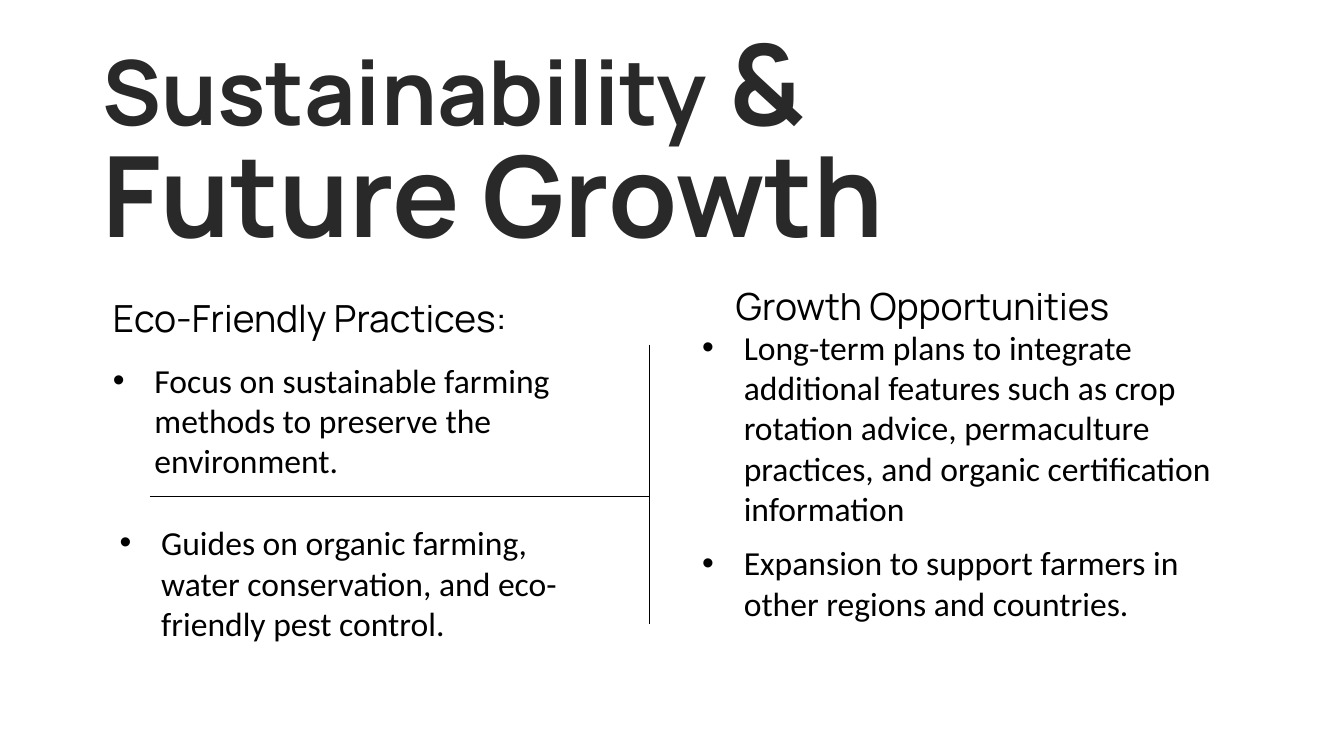
from lxml import etree
from pptx import Presentation
from pptx.dml.color import RGBColor
from pptx.enum.shapes import MSO_CONNECTOR
from pptx.enum.text import MSO_ANCHOR, MSO_AUTO_SIZE, PP_ALIGN
from pptx.oxml.ns import qn
from pptx.util import Inches, Pt

STRAIGHT = MSO_CONNECTOR.STRAIGHT
TOP = MSO_ANCHOR.TOP
LEFT = PP_ALIGN.LEFT
FIT_SHAPE = MSO_AUTO_SIZE.SHAPE_TO_FIT_TEXT
TITLE_ONLY = 5

# Grid: one column or row is one inch
COLUMNS, ROWS = 20, 11.25
BULLET_INDENT = Inches(0.62)


def color(hex_text):
    return RGBColor.from_string(hex_text)


class SlideBuilder:
    heading_font = "Manrope"
    body_font = "Calibri"
    title_color = "292929"
    text_color = "000000"

    def __init__(self, presentation):
        self.presentation = presentation
        self.slide = presentation.slides.add_slide(
            presentation.slide_layouts[TITLE_ONLY])
        self.slide.background.fill.solid()
        self.slide.background.fill.fore_color.rgb = color("FFFFFF")

    def place(self, column, row):
        return (round(self.presentation.slide_width * column / COLUMNS),
                round(self.presentation.slide_height * row / ROWS))

    def style(self, font, name, size, hex_text, bold=False):
        font.name = name
        font.size = Pt(size)
        font.bold = bold
        font.color.rgb = color(hex_text)

    def title(self, column, row, width, height, parts):
        shape = self.slide.shapes.title
        shape.left, shape.top = self.place(column, row)
        shape.width, shape.height = self.place(width, height)
        frame = shape.text_frame
        frame.margin_left = frame.margin_right = 0
        frame.margin_top = frame.margin_bottom = 0
        frame.vertical_anchor = TOP
        frame.word_wrap = True
        frame.auto_size = FIT_SHAPE
        paragraph = frame.paragraphs[0]
        paragraph.alignment = LEFT
        paragraph.line_spacing = Pt(120)
        for text, size in parts:
            run = paragraph.add_run()
            run.text = text
            self.style(run.font, self.heading_font, size, self.title_color, True)

    def text(self, column, row, width, height, text):
        shape = self.slide.shapes.add_textbox(
            *self.place(column, row), *self.place(width, height))
        frame = shape.text_frame
        frame.word_wrap = True
        frame.auto_size = FIT_SHAPE
        paragraph = frame.paragraphs[0]
        paragraph.text = text
        return paragraph

    def heading(self, column, row, width, text):
        paragraph = self.text(column, row, width, 0.77, text)
        self.style(paragraph.font, self.heading_font, 40, self.text_color)

    def bullet(self, column, row, width, height, text):
        paragraph = self.text(column, row, width, height, text)
        properties = paragraph._p.get_or_add_pPr()
        properties.set("marL", str(BULLET_INDENT))
        properties.set("indent", str(-BULLET_INDENT))
        etree.SubElement(properties, qn("a:buFont")).set("typeface", "Arial")
        etree.SubElement(properties, qn("a:buChar")).set("char", "•")
        self.style(paragraph.font, self.body_font, 36, self.text_color)

    def line(self, start, end):
        connector = self.slide.shapes.add_connector(
            STRAIGHT, *self.place(*start), *self.place(*end))
        connector.line.color.rgb = color(self.text_color)
        connector.line.width = Pt(0.75)
        etree.SubElement(connector._element.spPr, qn("a:effectLst"))


def main():
    presentation = Presentation()
    presentation.slide_width = Inches(COLUMNS)
    presentation.slide_height = Inches(ROWS)
    builder = SlideBuilder(presentation)

    # Title
    builder.title(1.52, 0.54, 15.26, 3.45,
                  [("Sustainability", 96), (" & Future Growth", 120)])

    # Dividers
    divider = 9.67
    builder.line((2.23, 7.39), (divider, 7.39))
    builder.line((divider, 5.13), (divider, 9.29))

    # Left column: practices
    builder.heading(1.58, 4.35, 9.32, "Eco-Friendly Practices:")
    builder.bullet(1.58, 5.3, 7.75, 1.92,
                   "Focus on sustainable farming methods to preserve the "
                   "environment.")
    builder.bullet(1.68, 7.72, 7.55, 1.92,
                   "Guides on organic farming, water conservation, and "
                   "eco-friendly pest control.")

    # Right column: opportunities
    builder.heading(10.85, 4.16, 7.55, "Growth Opportunities")
    builder.bullet(10.35, 4.81, 8.33, 3.13,
                   "Long-term plans to integrate additional features such as "
                   "crop rotation advice, permaculture practices, and organic "
                   "certification information")
    builder.bullet(10.35, 8.02, 7.55, 1.31,
                   "Expansion to support farmers in other regions and "
                   "countries.")

    presentation.save("out.pptx")


if __name__ == "__main__":
    main()
